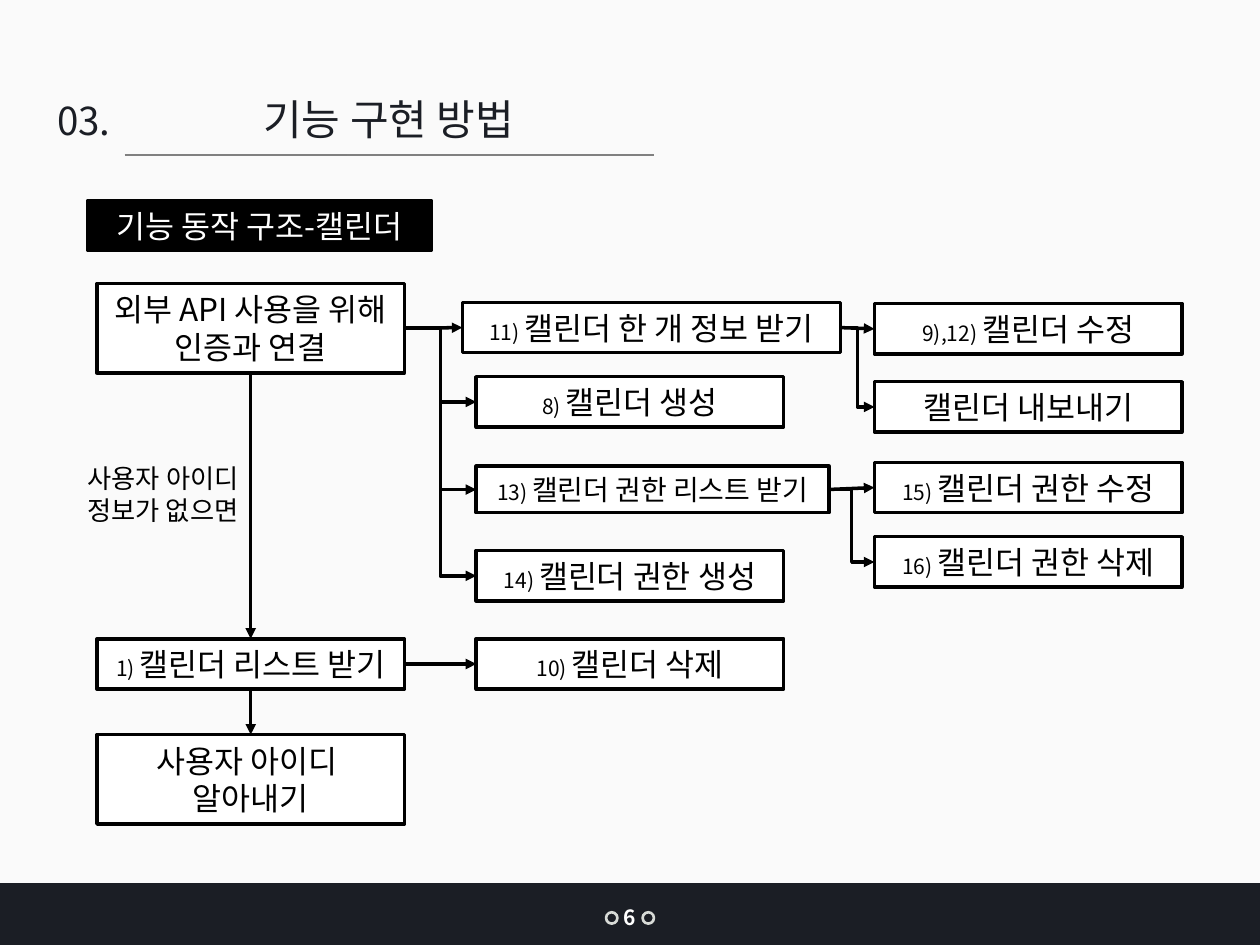
from lxml import etree
from pptx import Presentation
from pptx.dml.color import RGBColor
from pptx.enum.shapes import MSO_CONNECTOR, MSO_SHAPE
from pptx.enum.text import MSO_ANCHOR, MSO_AUTO_SIZE, PP_ALIGN
from pptx.oxml.ns import qn
from pptx.util import Inches, Pt

RECTANGLE, OVAL = MSO_SHAPE.RECTANGLE, MSO_SHAPE.OVAL
STRAIGHT, ELBOW = MSO_CONNECTOR.STRAIGHT, MSO_CONNECTOR.ELBOW
TOP, MIDDLE = MSO_ANCHOR.TOP, MSO_ANCHOR.MIDDLE
CENTER, LEFT = PP_ALIGN.CENTER, PP_ALIGN.LEFT
FIXED_SIZE = MSO_AUTO_SIZE.NONE

FONT = "Noto Sans CJK KR"
PAPER = RGBColor(0xFA, 0xFA, 0xFA)
NAVY = RGBColor(0x1B, 0x1E, 0x25)
RING = RGBColor(0xD8, 0xDB, 0xD7)
GRAY = RGBColor(0x80, 0x80, 0x80)
BLACK = RGBColor(0, 0, 0)
WHITE = RGBColor(0xFF, 0xFF, 0xFF)

TOP_SIDE, LEFT_SIDE, BOTTOM_SIDE, RIGHT_SIDE = range(4)
NUMBER_SIZE = 12
STEP_WIDTH, STEP_HEIGHT, TALL_HEIGHT = 2.44, 0.4, 0.71
FIRST_X, SECOND_X, THIRD_X = 0.77, 3.78, 6.94

# key: (left, top, width, height, number, lines, text size)
STEPS = {
    "connect": (FIRST_X, 2.25, STEP_WIDTH, TALL_HEIGHT, "", ["외부 API 사용을 위해 인증과 연결"], 18),
    "list": (FIRST_X, 5.07, STEP_WIDTH, STEP_HEIGHT, "1) ", ["캘린더 리스트 받기"], 18),
    "find_id": (FIRST_X, 5.83, STEP_WIDTH, TALL_HEIGHT, "", ["사용자 아이디 ", "알아내기"], 18),
    "get_one": (3.67, 2.4, 3, STEP_HEIGHT, "11) ", ["캘린더 한 개 정보 받기"], 18),
    "create": (SECOND_X, 2.99, STEP_WIDTH, STEP_HEIGHT, "8) ", ["캘린더 생성"], 18),
    "get_rights": (SECOND_X, 3.7, 2.8, 0.37, "13) ", ["캘린더 권한 리스트 받기"], 16),
    "create_right": (SECOND_X, 4.37, STEP_WIDTH, STEP_HEIGHT, "14) ", ["캘린더 권한 생성"], 18),
    "delete": (SECOND_X, 5.07, STEP_WIDTH, STEP_HEIGHT, "10) ", ["캘린더 삭제"], 18),
    "edit": (THIRD_X, 2.41, STEP_WIDTH, STEP_HEIGHT, "9),12) ", ["캘린더 수정"], 18),
    "export": (THIRD_X, 3.03, STEP_WIDTH, STEP_HEIGHT, "", ["캘린더 내보내기"], 18),
    "edit_right": (THIRD_X, 3.67, STEP_WIDTH, STEP_HEIGHT, "15) ", ["캘린더 권한 수정"], 18),
    "delete_right": (THIRD_X, 4.26, STEP_WIDTH, STEP_HEIGHT, "16) ", ["캘린더 권한 삭제"], 18),
}
DOWN_FLOWS = [("connect", "list"), ("list", "find_id")]
ACROSS_FLOWS = [
    ("connect", "get_one", STRAIGHT),
    ("connect", "create", ELBOW),
    ("connect", "get_rights", ELBOW),
    ("connect", "create_right", ELBOW),
    ("list", "delete", STRAIGHT),
    ("get_one", "edit", STRAIGHT),
    ("get_one", "export", ELBOW),
    ("get_rights", "edit_right", STRAIGHT),
    ("get_rights", "delete_right", ELBOW),
]


def add_run(paragraph, text, size, color, bold=False):
    run = paragraph.add_run()
    run.text = text
    formats = {"name": FONT, "size": Pt(size), "bold": bold}
    for attribute, value in formats.items():
        setattr(run.font, attribute, value)
    run.font.color.rgb = color
    east_asian = etree.SubElement(run.font._element, qn("a:ea"))
    east_asian.set("typeface", FONT)


def format_frame(frame, anchor, wrap=True):
    formats = {"word_wrap": wrap, "auto_size": FIXED_SIZE, "vertical_anchor": anchor}
    for attribute, value in formats.items():
        setattr(frame, attribute, value)


def add_shape(slide, kind, left, top, width, height, fill, line=None, line_width=2):
    shape = slide.shapes.add_shape(
        kind, Inches(left), Inches(top), Inches(width), Inches(height))
    shape.shadow.inherit = False
    shape.fill.solid()
    shape.fill.fore_color.rgb = fill
    if line is None:
        shape.line.fill.background()
    else:
        shape.line.color.rgb = line
        shape.line.width = Pt(line_width)
    return shape


def add_box(slide, left, top, width, height, number, lines, size, fill=WHITE, color=BLACK):
    """Add an outlined box whose first line may start with a small number."""
    box = add_shape(slide, RECTANGLE, left, top, width, height, fill, BLACK)
    frame = box.text_frame
    format_frame(frame, MIDDLE)
    for index, line in enumerate(lines):
        paragraph = frame.add_paragraph() if index else frame.paragraphs[0]
        paragraph.alignment = CENTER
        if number and index == 0:
            add_run(paragraph, number, NUMBER_SIZE, color)
        add_run(paragraph, line, size, color)
    return box


def add_label(slide, left, top, width, height, text, size, color,
              align=CENTER, wrap=True, bold=False):
    label = slide.shapes.add_textbox(
        Inches(left), Inches(top), Inches(width), Inches(height))
    format_frame(label.text_frame, TOP, wrap)
    paragraph = label.text_frame.paragraphs[0]
    paragraph.alignment = align
    add_run(paragraph, text, size, color, bold)


def add_title(slide, text):
    title = slide.shapes.title
    position = {"left": 0.7, "top": 0.69, "width": 4.77, "height": 0.5}
    for attribute, value in position.items():
        setattr(title, attribute, Inches(value))
    format_frame(title.text_frame, TOP)
    paragraph = title.text_frame.paragraphs[0]
    paragraph.alignment = CENTER
    add_run(paragraph, text, 24, NAVY)


def add_line(slide, kind, start, end, color, width):
    line = slide.shapes.add_connector(kind, *map(Inches, start + end))
    line.line.color.rgb = color
    line.line.width = Pt(width)
    etree.SubElement(line._element.spPr, qn("a:effectLst"))
    return line


def add_flow(slide, kind, source, source_side, target, target_side):
    """Join two boxes with an arrow that points at the target."""
    arrow = add_line(slide, kind, (0, 0), (0, 0), BLACK, 2)
    arrow.begin_connect(source, source_side)
    arrow.end_connect(target, target_side)
    tail = etree.SubElement(arrow.line._get_or_add_ln(), qn("a:tailEnd"))
    tail.set("type", "triangle")


def add_footer(slide, page):
    add_shape(slide, RECTANGLE, 0, 7.01, 10, 0.49, NAVY)
    for left in (4.81, 5.1):
        add_shape(slide, OVAL, left, 7.24, 0.09, 0.09, NAVY, RING, 1.5)
    add_label(slide, 4.85, 7.13, 0.3, 0.3, page, 12, WHITE, LEFT, wrap=False, bold=True)


def main():
    deck = Presentation()
    deck.slide_width, deck.slide_height = Inches(10), Inches(7.5)
    slide = deck.slides.add_slide(deck.slide_layouts[5])
    slide.background.fill.solid()
    slide.background.fill.fore_color.rgb = PAPER

    add_title(slide, "기능 구현 방법")
    add_label(slide, 0.3, 0.72, 0.8, 0.47, "03. ", 22, NAVY)
    add_line(slide, STRAIGHT, (0.99, 1.23), (5.19, 1.23), GRAY, 0.75)
    add_box(slide, 0.7, 1.59, 2.72, 0.4, "", ["기능 동작 구조-캘린더"], 18, BLACK, WHITE)

    boxes = {key: add_box(slide, *step) for key, step in STEPS.items()}
    for source, target in DOWN_FLOWS:
        add_flow(slide, STRAIGHT, boxes[source], BOTTOM_SIDE, boxes[target], TOP_SIDE)
    for source, target, kind in ACROSS_FLOWS:
        add_flow(slide, kind, boxes[source], RIGHT_SIDE, boxes[target], LEFT_SIDE)
    add_label(slide, 0.56, 3.62, 1.47, 0.61, "사용자 아이디 정보가 없으면", 15, BLACK)

    add_footer(slide, "6")
    deck.save("out.pptx")


if __name__ == "__main__":
    main()
